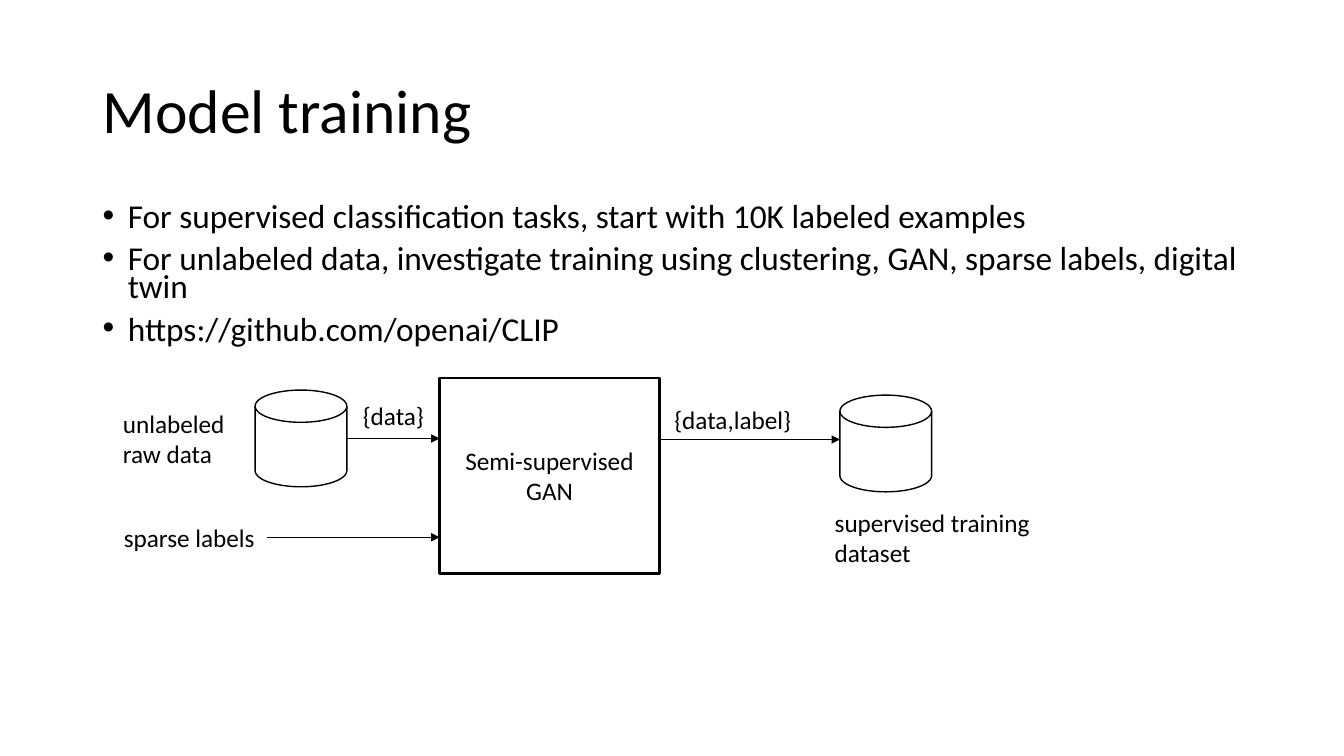
from lxml import etree
from pptx import Presentation
from pptx import util as u
from pptx.dml.color import RGBColor
from pptx.enum import shapes, text
from pptx.oxml.ns import qn

PX = 9144  # EMU per px, 100 px to the inch
FONT = "Calibri"
COLORS = {"ink": "000000"}
INK = RGBColor.from_string(COLORS["ink"])

TITLE = ("Model training", (92, 40, 1150, 145))
BULLETS = [
    "For supervised classification tasks, start with 10K labeled examples",
    "For unlabeled data, investigate training using clustering, GAN, sparse labels, digital twin",
    "https://github.com/openai/CLIP",
]
BULLETS_BOX = (92, 200, 1166, 158)
BULLET_INDENT = 25

LABELS = [
    ("unlabeled raw data", (112, 400, 124, 71)),
    ("sparse labels", (113, 513, 152, 40)),
    ("{data}", (350, 392, 81, 40)),
    ("{data,label}", (659, 396, 140, 40)),
    ("supervised training dataset", (818, 498, 218, 71)),
]
GAN = ("Semi-supervised GAN", (436, 375, 218, 194))
RAW_STORE = (253, 387, 91, 96)
TRAINING_STORE = (833, 392, 91, 96)
SPARSE_START, SPARSE_Y = 265, 533


def px(*lengths):
    return [u.Emu(length * PX) for length in lengths]


def add_run(paragraph, words, size):
    run = paragraph.add_run()
    run.text = words
    run.font.name = FONT
    run.font.size = u.Pt(size)
    run.font.color.rgb = INK


def add_text(slide, words, box, size, anchor=text.MSO_ANCHOR.TOP):
    frame = slide.shapes.add_textbox(*px(*box)).text_frame
    frame.word_wrap = True
    frame.vertical_anchor = anchor
    add_run(frame.paragraphs[0], words, size)
    return frame


def add_bullets(slide):
    frame = slide.shapes.add_textbox(*px(*BULLETS_BOX)).text_frame
    frame.word_wrap = True
    indent = BULLET_INDENT * PX
    for index, words in enumerate(BULLETS):
        paragraph = frame.add_paragraph() if index else frame.paragraphs[0]
        properties = paragraph._p.get_or_add_pPr()
        properties.set("marL", str(indent))
        properties.set("indent", str(-indent))
        etree.SubElement(properties, qn("a:buFont"), typeface="Arial")
        etree.SubElement(properties, qn("a:buChar"), char="•")
        paragraph.line_spacing = 0.7
        paragraph.space_before = u.Pt(10 if index else 0)
        add_run(paragraph, words, 23.8)


def add_outline(slide, kind, box, width):
    shape = slide.shapes.add_shape(kind, *px(*box))
    shape.shadow.inherit = False
    shape.fill.background()
    shape.line.color.rgb = INK
    shape.line.width = u.Pt(width)
    return shape


def add_arrow(slide, start, end, y):
    arrow = slide.shapes.add_connector(
        shapes.MSO_CONNECTOR.STRAIGHT, *px(start, y, end, y))
    arrow.line.color.rgb = INK
    arrow.line.width = u.Pt(0.5)
    etree.SubElement(arrow.line._get_or_add_ln(), qn("a:tailEnd"), type="triangle")
    etree.SubElement(arrow._element.spPr, qn("a:effectLst"))


def add_diagram(slide):
    words, gan_box = GAN
    gan = add_outline(slide, shapes.MSO_SHAPE.RECTANGLE, gan_box, 1.75)
    gan.text_frame.word_wrap = True
    gan.text_frame.vertical_anchor = text.MSO_ANCHOR.MIDDLE
    paragraph = gan.text_frame.paragraphs[0]
    paragraph.alignment = text.PP_ALIGN.CENTER
    add_run(paragraph, words, 18)

    for store in (RAW_STORE, TRAINING_STORE):
        add_outline(slide, shapes.MSO_SHAPE.FLOWCHART_MAGNETIC_DISK, store, 1)

    gan_left, gan_right = gan_box[0], gan_box[0] + gan_box[2]
    raw_left, raw_top, raw_width, raw_height = RAW_STORE
    training_left, training_top, _, training_height = TRAINING_STORE
    add_arrow(slide, SPARSE_START, gan_left, SPARSE_Y)
    add_arrow(slide, raw_left + raw_width, gan_left, raw_top + raw_height // 2)
    add_arrow(slide, gan_right, training_left - 0, training_top + training_height // 2 - 4)

    for words, box in LABELS:
        add_text(slide, words, box, 18)


def main():
    presentation = Presentation()
    presentation.slide_width, presentation.slide_height = px(1333, 750)
    slide = presentation.slides.add_slide(presentation.slide_layouts[6])
    title = add_text(slide, *TITLE, 44, text.MSO_ANCHOR.MIDDLE)
    title.paragraphs[0].line_spacing = 0.9
    add_bullets(slide)
    add_diagram(slide)
    presentation.save("out.pptx")


if __name__ == "__main__":
    main()
